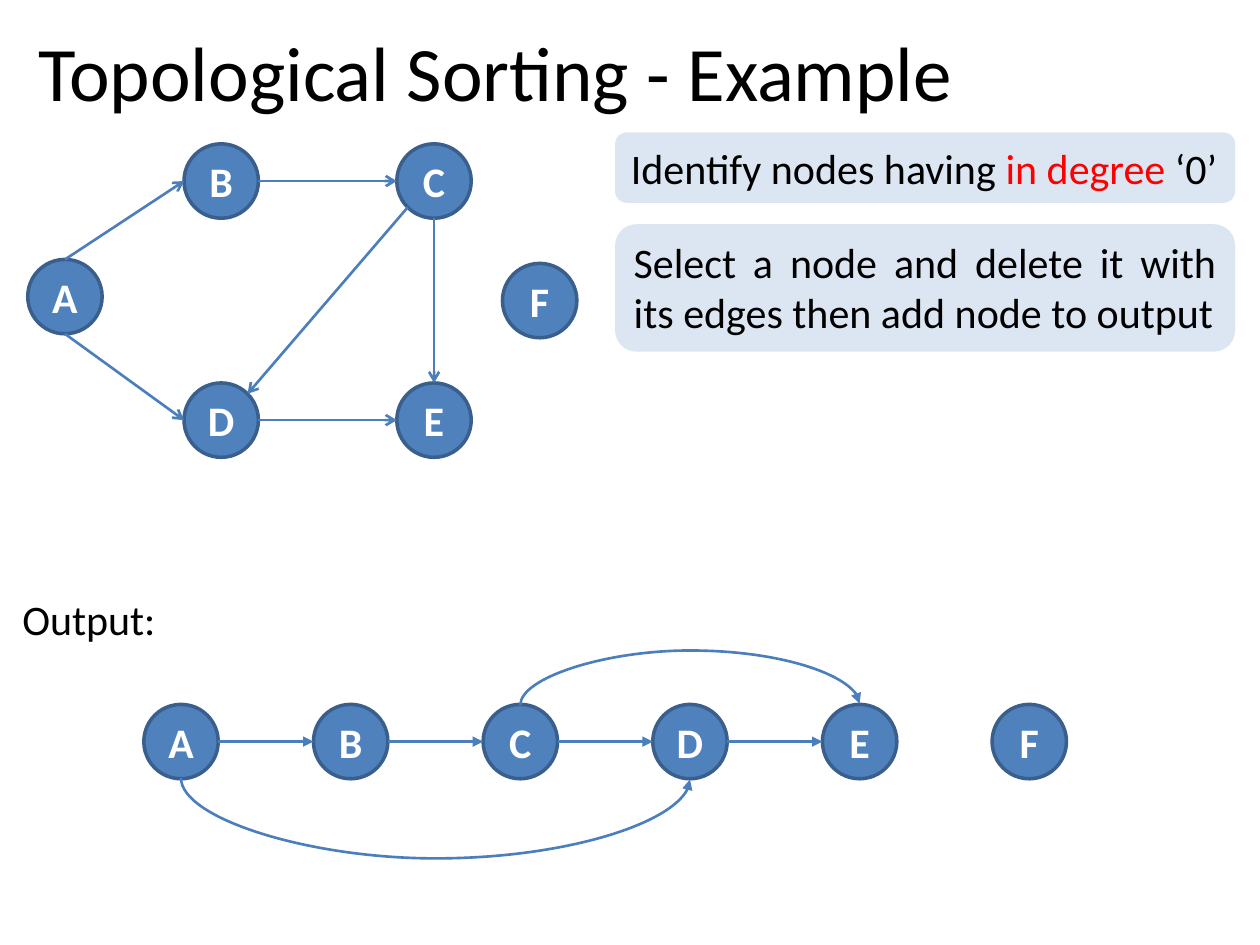
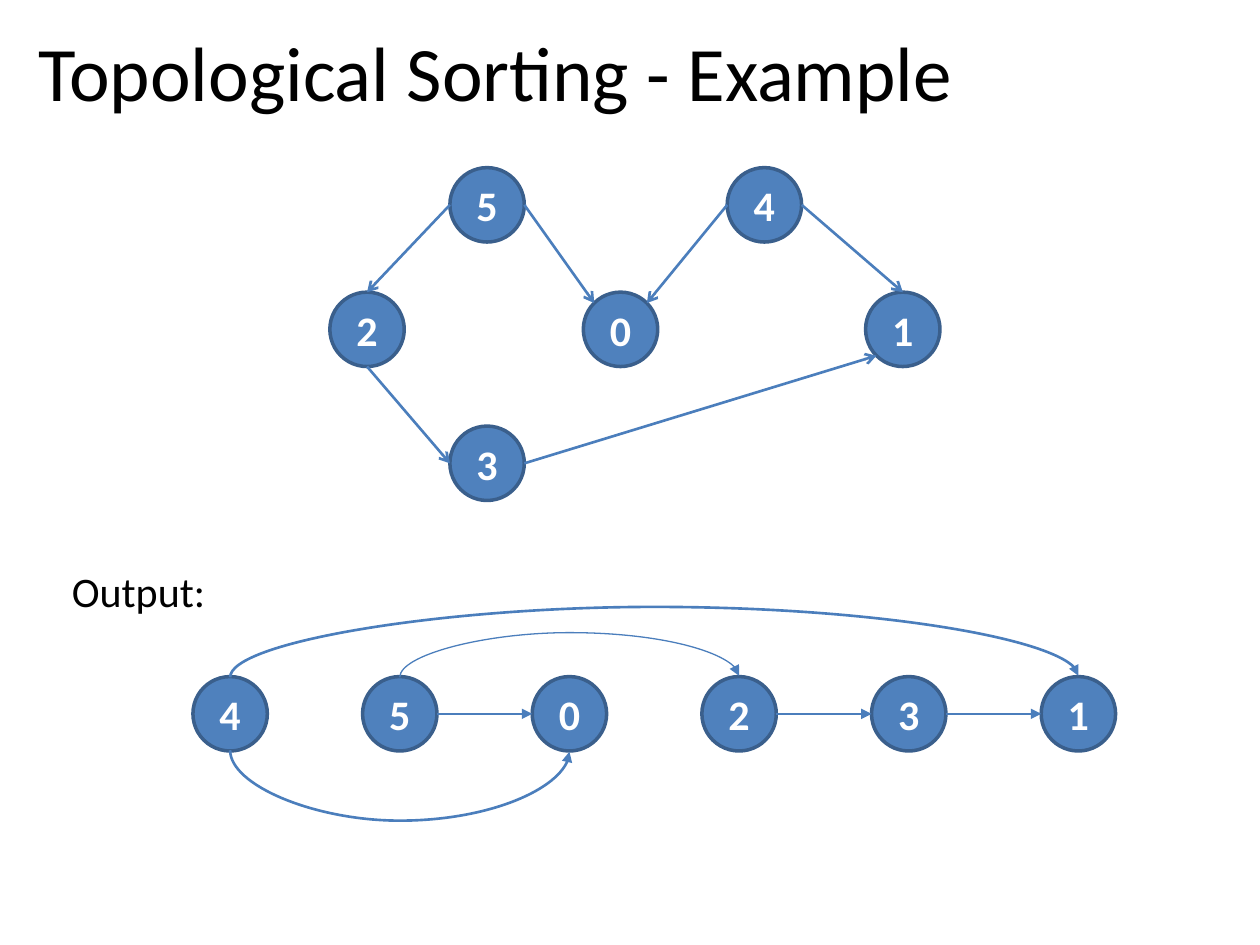
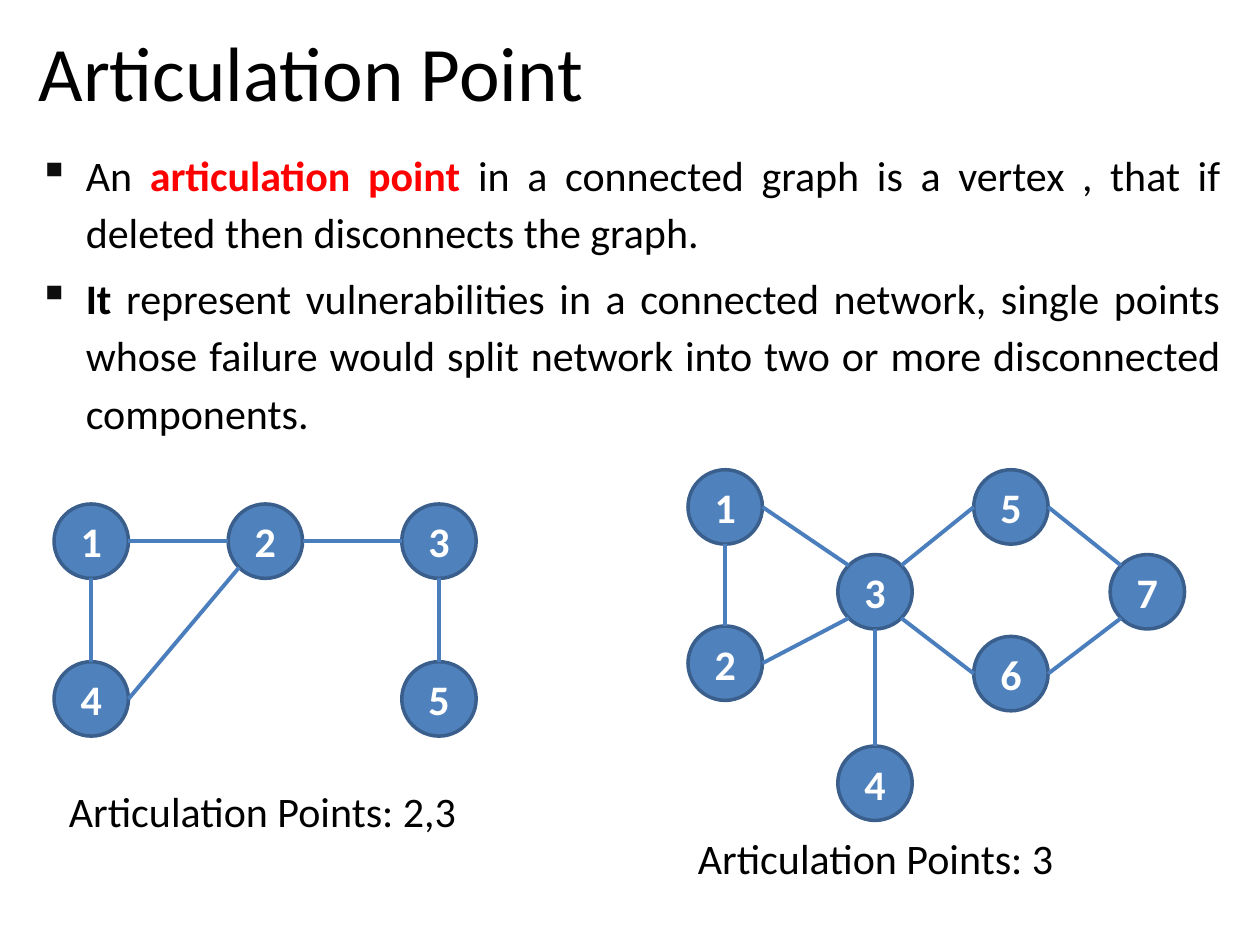
"""Builds three slides on topological sorting and articulation points."""
from math import sqrt

from lxml import etree
from pptx import Presentation
from pptx.dml.color import RGBColor
from pptx.enum.shapes import MSO_CONNECTOR, MSO_SHAPE
from pptx.enum.text import MSO_ANCHOR, PP_ALIGN
from pptx.oxml.ns import qn
from pptx.util import Cm, Pt

OVAL, ROUND = MSO_SHAPE.OVAL, MSO_SHAPE.ROUNDED_RECTANGLE
LINE, CURVE = MSO_CONNECTOR.STRAIGHT, MSO_CONNECTOR.CURVE
LEFT, CENTER, JUST = PP_ALIGN.LEFT, PP_ALIGN.CENTER, PP_ALIGN.JUSTIFY
TOP, MIDDLE = MSO_ANCHOR.TOP, MSO_ANCHOR.MIDDLE

FONT = "Calibri"
BLACK, WHITE, RED = "000000", "FFFFFF", "FF0000"
BLUE, RIM, EDGE, PALE, DARK = "4F81BD", "3A5F8C", "4B7EBC", "DCE6F2", "0D0D0D"
NODE, STEP, THIN = 1.5, 3.42, 0.03
DIAG = sqrt(0.5)
SIDES = {"n": (0, -1), "s": (0, 1), "w": (-1, 0), "e": (1, 0),
         "nw": (-DIAG, -DIAG), "ne": (DIAG, -DIAG),
         "sw": (-DIAG, DIAG), "se": (DIAG, DIAG)}


def row(names, left, top):
    """Place nodes in an even row."""
    return {name: (left + i * STEP, top) for i, name in enumerate(names)}


SLIDES = [
    {
        "title": "Topological Sorting - Example",
        "cards": [
            ((12.4, 2.67, 12.5, 1.42),
             [("Identify nodes having ",), ("in degree ", RED), ("‘0’",)]),
            ((12.4, 4.52, 12.5, 2.57),
             [("Select a node and delete it with its edges then add node to output",)]),
        ],
        "labels": [((0.2, 11.84, 3.43, 1.27), "Output:")],
        "graphs": [
            {"nodes": {"A": (0.56, 5.23), "B": (3.71, 2.9), "D": (3.71, 7.72),
                       "C": (8, 2.9), "E": (8, 7.72), "F": (10.13, 5.31)},
             "edges": ["A n B w", "A s D w", "B e C w", "D e E w",
                       "C s E n", "C sw D ne"],
             "head": "arrow", "width": 1.5},
            {"nodes": row("ABCDEF", 2.9, 14.2),
             "edges": ["A e B w", "B e C w", "C e D w", "D e E w"],
             "arcs": [("A s D s", 1.62, 1.5), ("C n E n", 1.1, 1.5)],
             "head": "triangle", "width": 1.5},
        ],
    },
    {
        "title": "Topological Sorting - Example",
        "labels": [((1.2, 11.28, 3.43, 1.27), "Output:")],
        "graphs": [
            {"nodes": {"2": (6.65, 5.89), "5": (9.07, 3.38), "3": (9.07, 8.59),
                       "0": (11.76, 5.89), "4": (14.66, 3.38), "1": (17.45, 5.89)},
             "edges": ["5 w 2 n", "5 e 0 nw", "2 s 3 w", "3 e 1 sw",
                       "4 w 0 ne", "4 e 1 n"],
             "head": "arrow", "width": 1.5},
            {"nodes": row("450231", 3.89, 13.64),
             "edges": ["5 e 0 w", "2 e 3 w", "3 e 1 w"],
             "arcs": [("4 n 1 n", 1.42, 1.5), ("4 s 0 s", 1.42, 1.5),
                      ("5 n 2 n", 0.9, 0.75)],
             "head": "triangle", "width": 1.5},
        ],
    },
    {
        "title": "Articulation Point",
        "points": [
            [("An ",), ("articulation point ", RED, True),
             ("in a connected graph is a vertex , that if deleted then "
              "disconnects the graph.",)],
            [("It ", BLACK, True),
             ("represent vulnerabilities in a connected network, single points "
              "whose failure would split network into two or more disconnected "
              "components.",)],
        ],
        "labels": [((1.14, 15.72, 8.41, 1.27), "Articulation Points: 2,3"),
                   ((13.82, 16.66, 8.41, 1.27), "Articulation Points: 3")],
        "graphs": [
            {"nodes": {"1": (1.09, 10.16), "4": (1.09, 13.34), "2": (4.6, 10.16),
                       "3": (8.1, 10.16), "5": (8.1, 13.34)},
             "edges": ["1 e 2 w", "2 e 3 w", "1 s 4 n", "4 e 2 sw", "3 s 5 n"],
             "width": 2.25},
            {"nodes": {"1": (13.87, 9.47), "2": (13.87, 12.62), "3": (16.89, 11.18),
                       "5": (19.63, 9.47), "7": (22.38, 11.18), "6": (19.63, 12.83),
                       "4": (16.89, 15.04)},
             "edges": ["1 e 3 nw", "1 s 2 n", "2 e 3 sw", "3 ne 5 w", "3 se 6 w",
                       "3 s 4 n", "5 e 7 nw", "6 e 7 sw"],
             "width": 2.25},
        ],
    },
]


def rgb(code):
    """Turn a hex string into a colour."""
    return RGBColor.from_string(code)


def add(parent, tag, **attrs):
    """Append a drawing element."""
    item = etree.SubElement(parent, qn(tag))
    for key, value in attrs.items():
        item.set(key, value)
    return item


def write(para, runs, size=24, align=LEFT):
    """Fill a paragraph run by run."""
    para.alignment = align
    for text, color, bold in ((*run, BLACK, False)[:1] + (*run[1:], *(BLACK, False)[len(run) - 1:])
                              for run in runs):
        part = para.add_run()
        part.text = text
        part.font.name, part.font.size, part.font.bold = FONT, Pt(size), bold
        part.font.color.rgb = rgb(color)


def box(slide, area, anchor=TOP):
    """Add a wrapping text box and return its frame."""
    frame = slide.shapes.add_textbox(*map(Cm, area)).text_frame
    frame.word_wrap, frame.vertical_anchor = True, anchor
    return frame


def shape(slide, kind, area, fill, anchor):
    """Add a flat filled shape without a line."""
    item = slide.shapes.add_shape(kind, *map(Cm, area))
    item.shadow.inherit = False
    item.fill.solid()
    item.fill.fore_color.rgb = rgb(fill)
    item.line.fill.background()
    item.text_frame.word_wrap = True
    item.text_frame.vertical_anchor = anchor
    return item


def node(slide, name, spot):
    """Draw a labelled graph node."""
    item = shape(slide, OVAL, (*spot, NODE, NODE), BLUE, MIDDLE)
    item.line.color.rgb, item.line.width = rgb(RIM), Pt(2)
    frame = item.text_frame
    frame.margin_left = frame.margin_right = 0
    write(frame.paragraphs[0], [(name, WHITE, True)], align=CENTER)


def ends(nodes, edge):
    """Find both end points of an edge and its first side."""
    first, side, last, goal = edge.split()
    spots = [[at + NODE / 2 * (1 + way) for at, way in zip(nodes[name], SIDES[to])]
             for name, to in ((first, side), (last, goal))]
    return spots[0], spots[1], side


def style(link, width, head):
    """Set the line and arrowhead of a connector."""
    link.line.color.rgb, link.line.width = rgb(EDGE), Pt(width)
    if head:
        add(link.line._ln, "a:tailEnd", type=head)
    add(link._element.spPr, "a:effectLst")


def arc(slide, nodes, edge, depth):
    """Draw a curved link as a thin turned connector."""
    (x1, y1), (x2, _), side = ends(nodes, edge)
    mid, half = (x1 + x2) / 2, (x2 - x1) / 2
    up = side == "n"
    tall = -half if up else half
    link = slide.shapes.add_connector(
        CURVE, Cm(mid + THIN / 2), Cm(y1 - tall), Cm(mid - THIN / 2), Cm(y1 + tall))
    link.rotation = 90 if up else 270
    guides = link._element.spPr.find(qn("a:prstGeom")).get_or_add_avLst()
    add(guides, "a:gd", name="adj1", fmla=f"val {round(depth / THIN * 100000)}")
    return link


def graph(slide, nodes, edges, width, head=None, arcs=()):
    """Draw the nodes and links of one graph."""
    for name, spot in nodes.items():
        node(slide, name, spot)
    for edge in edges:
        start, stop, _ = ends(nodes, edge)
        style(slide.shapes.add_connector(LINE, *map(Cm, start + stop)), width, head)
    for edge, depth, thick in arcs:
        style(arc(slide, nodes, edge, depth), thick, head)


def bullets(slide, points):
    """Write the bulleted body text."""
    frame = box(slide, (0.53, 2.74, 24.33, 14.81))
    for i, runs in enumerate(points):
        para = frame.paragraphs[0] if i == 0 else frame.add_paragraph()
        para.line_spacing = 1.14
        para.space_before = Pt(4.8 if i else 0)
        props = para._p.get_or_add_pPr()
        props.set("marL", str(Cm(0.95)))
        props.set("indent", str(-Cm(0.95)))
        add(add(props, "a:buClr"), "a:srgbClr", val=DARK)
        add(props, "a:buChar", char="▪")
        write(para, runs, align=JUST)


def main():
    """Build and save the deck."""
    deck = Presentation()
    deck.slide_width, deck.slide_height = Cm(25.4), Cm(19.05)
    for data in SLIDES:
        slide = deck.slides.add_slide(deck.slide_layouts[6])
        title = box(slide, (0.53, 0.3, 24.33, 2.24), MIDDLE)
        write(title.paragraphs[0], [(data["title"],)], size=44)
        if "points" in data:
            bullets(slide, data["points"])
        for area, runs in data.get("cards", []):
            card = shape(slide, ROUND, area, PALE, TOP)
            write(card.text_frame.paragraphs[0], runs, align=JUST)
        for area, text in data["labels"]:
            write(box(slide, area).paragraphs[0], [(text,)])
        for part in data["graphs"]:
            graph(slide, **part)
    deck.save("out.pptx")


if __name__ == "__main__":
    main()
